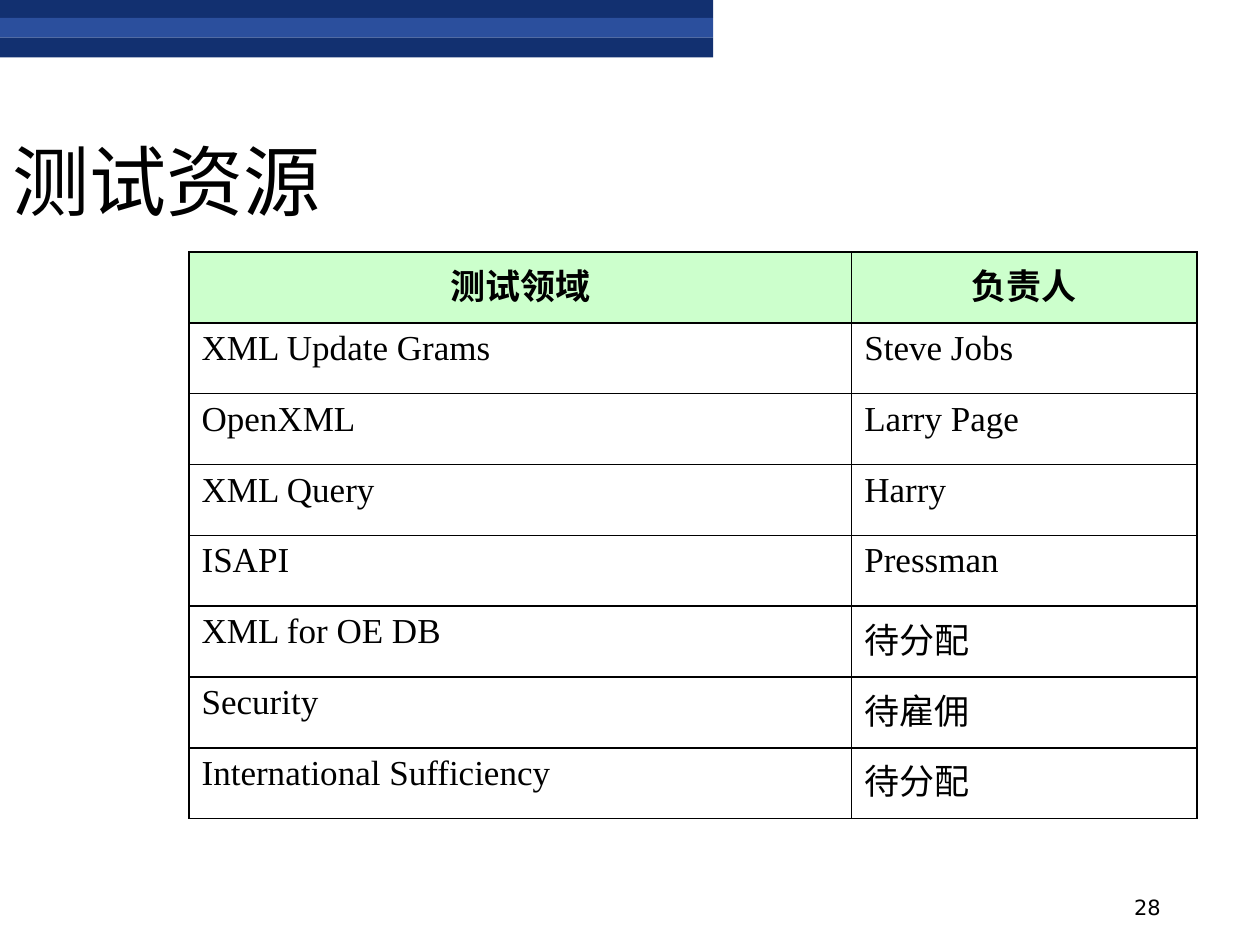
from dataclasses import dataclass
from typing import Any

from lxml.etree import SubElement
from pptx import Presentation
from pptx.dml.color import RGBColor
from pptx.enum.shapes import MSO_SHAPE as Preset
from pptx.enum.text import MSO_ANCHOR as Anchor, PP_ALIGN as Align
from pptx.oxml.ns import qn
from pptx.util import Cm, Pt


@dataclass(frozen=True)
class Theme:
    navy: str = "123070"
    blue: str = "2B4F9D"
    mint: str = "CCFFCC"
    ink: str = "000000"
    title_size: int = 44
    table_size: int = 20
    number_size: int = 12
    title_font: str = "Calibri"
    table_font: str = "Times New Roman"
    number_font: str = "DejaVu Sans"
    rule_width: int = 1


@dataclass(frozen=True)
class Box:
    left: float
    top: float
    width: float
    height: float

    def lengths(self) -> tuple:
        return Cm(self.left), Cm(self.top), Cm(self.width), Cm(self.height)


@dataclass(frozen=True)
class Band:
    box: Box
    color: str


@dataclass(frozen=True)
class Label:
    text: str
    box: Box
    font: str
    size: int
    layout: dict


@dataclass(frozen=True)
class Assignment:
    area: str
    owner: str


THEME = Theme()

BANDS = [
    Band(Box(0, 0, 14.38, 0.36), THEME.navy),
    Band(Box(0, 0.36, 14.38, 0.4), THEME.blue),
    Band(Box(0, 0.76, 14.38, 0.4), THEME.navy),
]

LABELS = [
    Label("28", Box(17.93, 17.65, 5.72, 1.02), THEME.number_font,
          THEME.number_size, {"alignment": Align.RIGHT}),
    Label("测试资源", Box(0, 1.47, 21.31, 3.23), THEME.title_font,
          THEME.title_size, {"alignment": Align.LEFT, "line_spacing": 0.9}),
]

HEADING = Assignment("测试领域", "负责人")
ASSIGNMENTS = [
    Assignment("XML Update Grams", "Steve Jobs"),
    Assignment("OpenXML", "Larry Page"),
    Assignment("XML Query", "Harry"),
    Assignment("ISAPI", "Pressman"),
    Assignment("XML for OE DB", "待分配"),
    Assignment("Security", "待雇佣"),
    Assignment("International Sufficiency", "待分配"),
]
TABLE_BOX = Box(3.81, 5.08, 20.32, 11.43)
COLUMN_WIDTHS = (13.36, 6.96)
HANGING = Cm(0.95)


def apply(target: Any, values: dict) -> None:
    for name, value in values.items():
        setattr(target, name, value)


def style_font(font: Any, name: str, size: int, bold: bool = False) -> None:
    apply(font, {"name": name, "size": Pt(size), "bold": bold})
    font.color.rgb = RGBColor.from_string(THEME.ink)


def draw_band(slide: Any, band: Band) -> None:
    stripe = slide.shapes.add_shape(Preset.RECTANGLE, *band.box.lengths())
    stripe.shadow.inherit = False
    stripe.fill.solid()
    stripe.fill.fore_color.rgb = RGBColor.from_string(band.color)
    stripe.line.fill.background()


def draw_label(slide: Any, label: Label) -> None:
    frame = slide.shapes.add_textbox(*label.box.lengths()).text_frame
    apply(frame, {"word_wrap": True, "vertical_anchor": Anchor.BOTTOM})
    line = frame.paragraphs[0]
    line.text = label.text
    apply(line, label.layout)
    style_font(line.runs[0].font, label.font, label.size)


def rule_cell(cell: Any) -> None:
    properties = cell._tc.get_or_add_tcPr()
    for position, side in enumerate(("lnL", "lnR", "lnT", "lnB")):
        rule = SubElement(properties, qn(f"a:{side}"), w=str(Pt(THEME.rule_width)))
        solid = SubElement(rule, qn("a:solidFill"))
        SubElement(solid, qn("a:srgbClr"), val=THEME.ink)
        properties.insert(position, rule)


def fill_cell(cell: Any, text: str, heading: bool) -> None:
    if heading:
        cell.fill.solid()
        cell.fill.fore_color.rgb = RGBColor.from_string(THEME.mint)
    else:
        cell.fill.background()
    rule_cell(cell)
    line = cell.text_frame.paragraphs[0]
    line.text = text
    line.alignment = Align.CENTER if heading else Align.LEFT
    indents = line._p.get_or_add_pPr()
    indents.set("marL", str(HANGING))
    indents.set("indent", str(-HANGING))
    style_font(line.runs[0].font, THEME.table_font, THEME.table_size, heading)


def draw_assignments(slide: Any, rows: list[Assignment]) -> None:
    table = slide.shapes.add_table(
        len(rows), len(COLUMN_WIDTHS), *TABLE_BOX.lengths()).table
    apply(table, {"first_row": False, "horz_banding": False})
    for column, width in zip(table.columns, COLUMN_WIDTHS):
        column.width = Cm(width)
    for index, row in enumerate(rows):
        table.rows[index].height = Cm(TABLE_BOX.height / len(rows))
        for column, text in enumerate((row.area, row.owner)):
            fill_cell(table.cell(index, column), text, heading=index == 0)


def main() -> None:
    deck = Presentation()
    apply(deck, {"slide_width": Cm(25.4), "slide_height": Cm(19.05)})
    slide = deck.slides.add_slide(deck.slide_layouts[6])
    for band in BANDS:
        draw_band(slide, band)
    for label in LABELS:
        draw_label(slide, label)
    draw_assignments(slide, [HEADING, *ASSIGNMENTS])
    deck.save("out.pptx")


if __name__ == "__main__":
    main()
